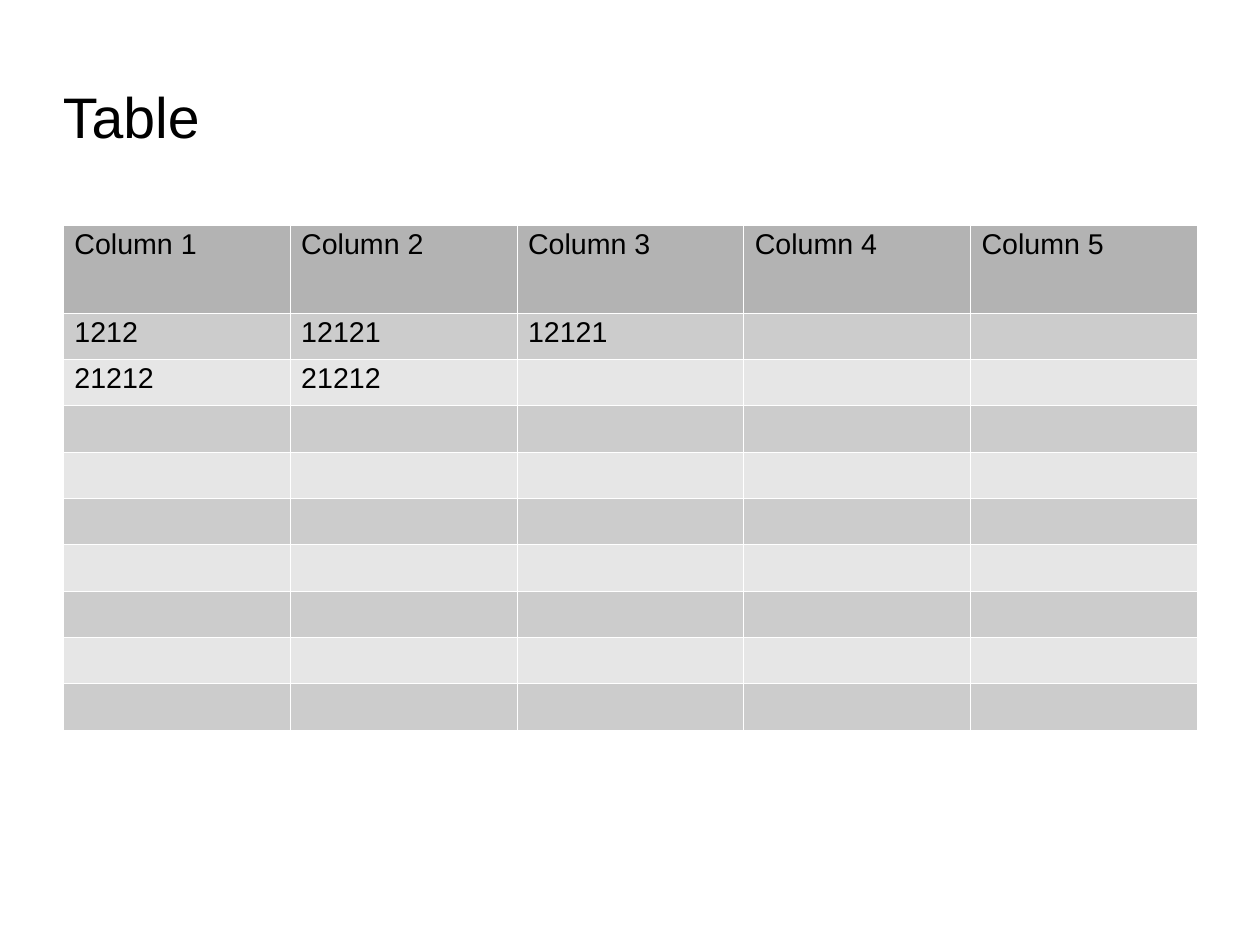
from lxml import etree
from pptx import Presentation
from pptx.dml.color import RGBColor
from pptx.enum.text import MSO_ANCHOR as Anchor, PP_ALIGN as Align
from pptx.oxml.ns import qn
from pptx.util import Cm, Pt

COLORS = {
    "text": "000000",
    "header": "B3B3B3",
    "dark band": "CCCCCC",
    "light band": "E6E6E6",
    "border": "FFFFFF",
}
COLUMN_COUNT, ROW_COUNT = 5, 10
LEFT = Cm(1.4)
TABLE_WIDTH, TABLE_HEIGHT, HEADER_HEIGHT = Cm(25.2), Cm(11.07), Cm(1.95)

cell_texts = [
    [f"Column {number}" for number in range(1, COLUMN_COUNT + 1)],
    ["1212", "12121", "12121"],
    ["21212", "21212"],
]


def write_text(frame, text, size=18, color="text", font="Arial"):
    para = frame.paragraphs[0]
    para.alignment = Align.LEFT
    para.line_spacing = 0.94
    span = para.add_run()
    span.text = text
    span.font.name = font
    span.font.size = Pt(size)
    span.font.color.rgb = RGBColor.from_string(COLORS[color])


def add_borders(cell):
    """Draw a hairline on all four sides; lines must precede the cell's fill."""
    properties = cell._tc.get_or_add_tcPr()
    for position, side in enumerate(("lnL", "lnR", "lnT", "lnB")):
        line = etree.Element(qn(f"a:{side}"), w=str(Pt(0.06)))
        solid = etree.SubElement(line, qn("a:solidFill"))
        etree.SubElement(solid, qn("a:srgbClr"), val=COLORS["border"])
        properties.insert(position, line)


deck = Presentation()
deck.slide_width, deck.slide_height = Cm(28), Cm(21)
page = deck.slides.add_slide(deck.slide_layouts[5])

title = page.shapes.title
title.left, title.top, title.width, title.height = LEFT, Cm(1.6), Cm(20), Cm(2)
frame = title.text_frame
frame.margin_left = frame.margin_right = frame.margin_bottom = 0
frame.margin_top = Cm(0.08)
frame.vertical_anchor = Anchor.MIDDLE
write_text(frame, "Table", size=36)

table = page.shapes.add_table(
    ROW_COUNT, COLUMN_COUNT, LEFT, Cm(5), TABLE_WIDTH, TABLE_HEIGHT
).table
body_row_height = (TABLE_HEIGHT - HEADER_HEIGHT) // (ROW_COUNT - 1)

for row_index, row in enumerate(table.rows):
    row.height = body_row_height if row_index else HEADER_HEIGHT
    band = "dark band" if row_index % 2 else "light band"
    fill_color = COLORS[band if row_index else "header"]
    for cell in row.cells:
        cell.fill.solid()
        cell.fill.fore_color.rgb = RGBColor.from_string(fill_color)
        add_borders(cell)

for row_index, texts in enumerate(cell_texts):
    for column_index, text in enumerate(texts):
        write_text(table.cell(row_index, column_index).text_frame, text)

deck.save("out.pptx")
